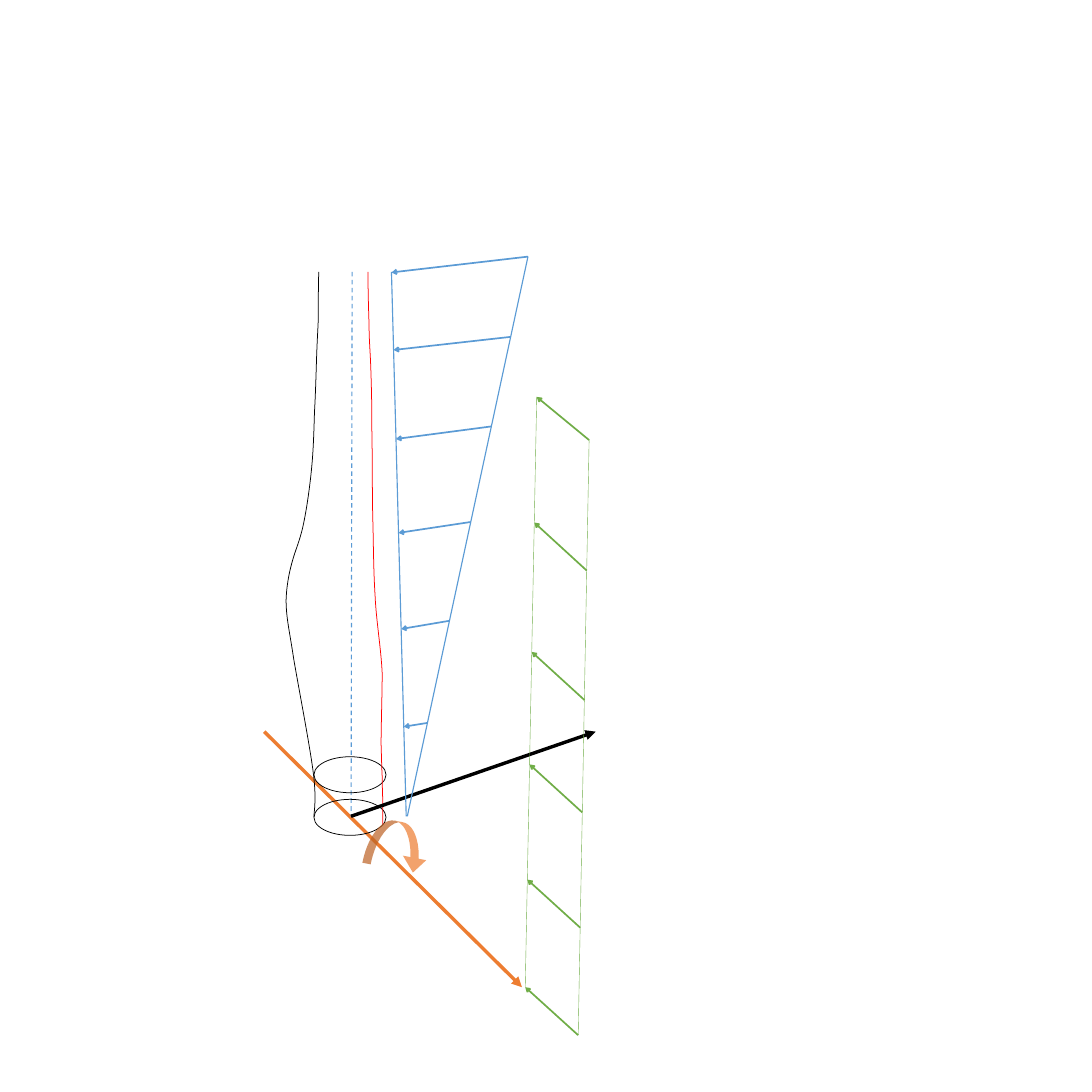
import dataclasses

import lxml.etree
import pptx
import pptx.dml.color
import pptx.enum.dml
import pptx.enum.shapes
import pptx.oxml.ns
import pptx.util

Inches = pptx.util.Inches
qn = pptx.oxml.ns.qn


@dataclasses.dataclass(frozen=True)
class Theme:
    """Colours and line widths of the diagram."""
    black: str = "000000"
    red: str = "FF0000"
    orange: str = "ED7D31"
    blue: str = "5B9BD5"
    green: str = "70AD47"
    axis: float = 4.5
    arrow: float = 2.25
    edge: float = 1.5
    outline: float = 1
    hairline: float = 0.5
    moment_opacity: int = 71


THEME = Theme()
LEG_BACK = [
    (0.6, 0),
    (0.59, 0.14), (0.59, 0.61), (0.59, 0.86),
    (0.58, 1.11), (0.57, 1.24), (0.56, 1.53),
    (0.55, 1.82), (0.54, 2.23), (0.52, 2.57),
    (0.51, 2.91), (0.5, 3.25), (0.47, 3.57),
    (0.44, 3.89), (0.39, 4.25), (0.34, 4.51),
    (0.29, 4.78), (0.24, 4.92), (0.16, 5.15),
    (0.08, 5.39), (0.01, 5.69), (0, 6.01),
    (0, 6.33), (0.06, 6.56), (0.14, 7.09),
    (0.23, 7.62), (0.44, 8.7), (0.5, 9.19),
    (0.56, 9.67), (0.51, 9.89), (0.51, 9.98),
]
LEG_FRONT = [
    (1.5, 0),
    (1.5, 0.34), (1.51, 0.68), (1.52, 0.97),
    (1.52, 1.25), (1.54, 1.44), (1.55, 1.72),
    (1.56, 2.01), (1.57, 2.34), (1.57, 2.68),
    (1.57, 3.02), (1.58, 3.34), (1.58, 3.66),
    (1.58, 3.98), (1.58, 4.21), (1.59, 4.59),
    (1.6, 4.97), (1.6, 5.47), (1.63, 5.93),
    (1.65, 6.39), (1.74, 6.9), (1.76, 7.35),
    (1.76, 7.71), (1.74, 8.33), (1.74, 8.65),
    (1.75, 8.96), (1.75, 9.06), (1.76, 9.24),
    (1.76, 9.42), (1.77, 9.59), (1.77, 9.73),
    (1.77, 9.87), (1.77, 9.98), (1.77, 10.12),
]


def set_line(line, colour, width, dash=None):
    """Apply colour, width and dash to a line."""
    line.color.rgb = pptx.dml.color.RGBColor.from_string(colour)
    formats = {"width": pptx.util.Pt(width), "dash_style": dash}
    for name, value in formats.items():
        setattr(line, name, value)


def place(box, point):
    """Turn a point relative to the box into slide lengths."""
    return Inches(box[0] + point[0]), Inches(box[1] + point[1])


def add_line(shapes, box, start, end, colour, width, head=None, dash=None):
    """Draw a straight line with an optional arrowhead at its end."""
    line = shapes.add_connector(
        pptx.enum.shapes.MSO_CONNECTOR.STRAIGHT, *place(box, start), *place(box, end))
    set_line(line.line, colour, width, dash)
    if head:
        lxml.etree.SubElement(line.get_or_add_ln(), qn("a:tailEnd"), type=head)
    lxml.etree.SubElement(line._element.spPr, qn("a:effectLst"))


def add_curve(shapes, box, points, colour):
    """Draw a Bezier outline from a start and triples of control points."""
    builder = shapes.build_freeform(*place(box, points[0]))
    builder.add_line_segments([place(box, point) for point in points[1:]], close=False)
    curve = builder.convert_to_shape()
    curve.shadow.inherit = False
    curve.fill.background()
    set_line(curve.line, colour, THEME.outline)
    path = curve._element.find(".//" + qn("a:path"))
    segments = path.findall(qn("a:lnTo"))
    for first in range(0, len(segments), 3):
        bezier = lxml.etree.SubElement(path, qn("a:cubicBezTo"))
        for segment in segments[first:first + 3]:
            bezier.append(segment[0])
            path.remove(segment)


def add_leg(page, box):
    """Draw the leg outline, its centre line and the two ankle rings."""
    shapes = page.shapes.add_group_shape().shapes
    add_line(shapes, box, (1.21, 0), (1.19, 9.98), THEME.blue, THEME.edge,
             dash=pptx.enum.dml.MSO_LINE.DASH)
    for top in (8.88, 9.66):
        ring = shapes.add_shape(pptx.enum.shapes.MSO_SHAPE.OVAL,
                                *place(box, (0.51, top)), Inches(1.32), Inches(0.66))
        ring.shadow.inherit = False
        ring.fill.background()
        set_line(ring.line, THEME.black, THEME.outline)
    add_curve(shapes, box, LEG_BACK, THEME.black)
    add_curve(shapes, box, LEG_FRONT, THEME.red)


def add_axis(page, box, colour, rising=False):
    """Draw an axis arrow along a diagonal of the box."""
    width, height = box[2:]
    start, end = ((0, height), (width, 0)) if rising else ((0, 0), (width, height))
    add_line(page.shapes, box, start, end, colour, THEME.axis, "triangle")


def point_on(edge, top):
    """Find the point of an edge at the given height."""
    (left, upper), (right, lower) = edge
    return left + (right - left) * (top - upper) / (lower - upper), top


def add_load(page, box, tail_edge, head_edge, arrows, colour, edge_width):
    """Draw a distributed load: two edges with arrows between them."""
    for edge in (tail_edge, head_edge):
        add_line(page.shapes, box, *edge, colour, edge_width)
    for tail, head in arrows:
        add_line(page.shapes, box, point_on(tail_edge, tail), point_on(head_edge, head),
                 colour, THEME.arrow, "arrow")


def add_moment(page, box):
    """Draw the curved arrow that turns about the orange axis."""
    moment = page.shapes.add_shape(pptx.enum.shapes.MSO_SHAPE.CURVED_DOWN_ARROW,
                                   *[Inches(length) for length in box])
    moment.shadow.inherit = False
    moment.rotation = 11
    for index, value in enumerate((0.177, 0.5, 0.309)):
        moment.adjustments[index] = value
    moment.fill.solid()
    moment.fill.fore_color.rgb = pptx.dml.color.RGBColor.from_string(THEME.orange)
    colour = moment._element.spPr.find(qn("a:solidFill"))[0]
    lxml.etree.SubElement(colour, qn("a:alpha"), val=str(THEME.moment_opacity * 1000))
    moment.line.fill.background()


def main():
    """Build the load diagram of the leg and save it."""
    deck = pptx.Presentation()
    deck.slide_width = deck.slide_height = Inches(20)
    page = deck.slides.add_slide(deck.slide_layouts[6])
    add_axis(page, (4.84, 13.4, 4.72, 4.68), THEME.orange)
    add_leg(page, (5.24, 4.98, 1.83, 10.32))
    add_axis(page, (6.43, 13.4, 4.48, 1.55), THEME.black, rising=True)
    add_load(page, (7.17, 4.7, 2.5, 10.25),
             ((2.5, 0), (0.29, 10.25)), ((0, 0.28), (0.27, 10.25)),
             [(0, 0.29), (1.47, 1.71), (3.11, 3.34),
              (4.86, 5.06), (6.67, 6.82), (8.54, 8.61)],
             THEME.blue, THEME.edge)
    add_moment(page, (6.71, 15.05, 1.16, 0.87))
    add_load(page, (9.62, 7.27, 1.18, 11.69),
             ((1.17, 0.78), (0.97, 11.69)), ((0.21, 0), (0, 10.81)),
             [(0.79, 0), (3.18, 2.3), (5.55, 4.67),
              (7.61, 6.73), (9.72, 8.84), (11.69, 10.81)],
             THEME.green, THEME.hairline)
    deck.save("out.pptx")


if __name__ == "__main__":
    main()
